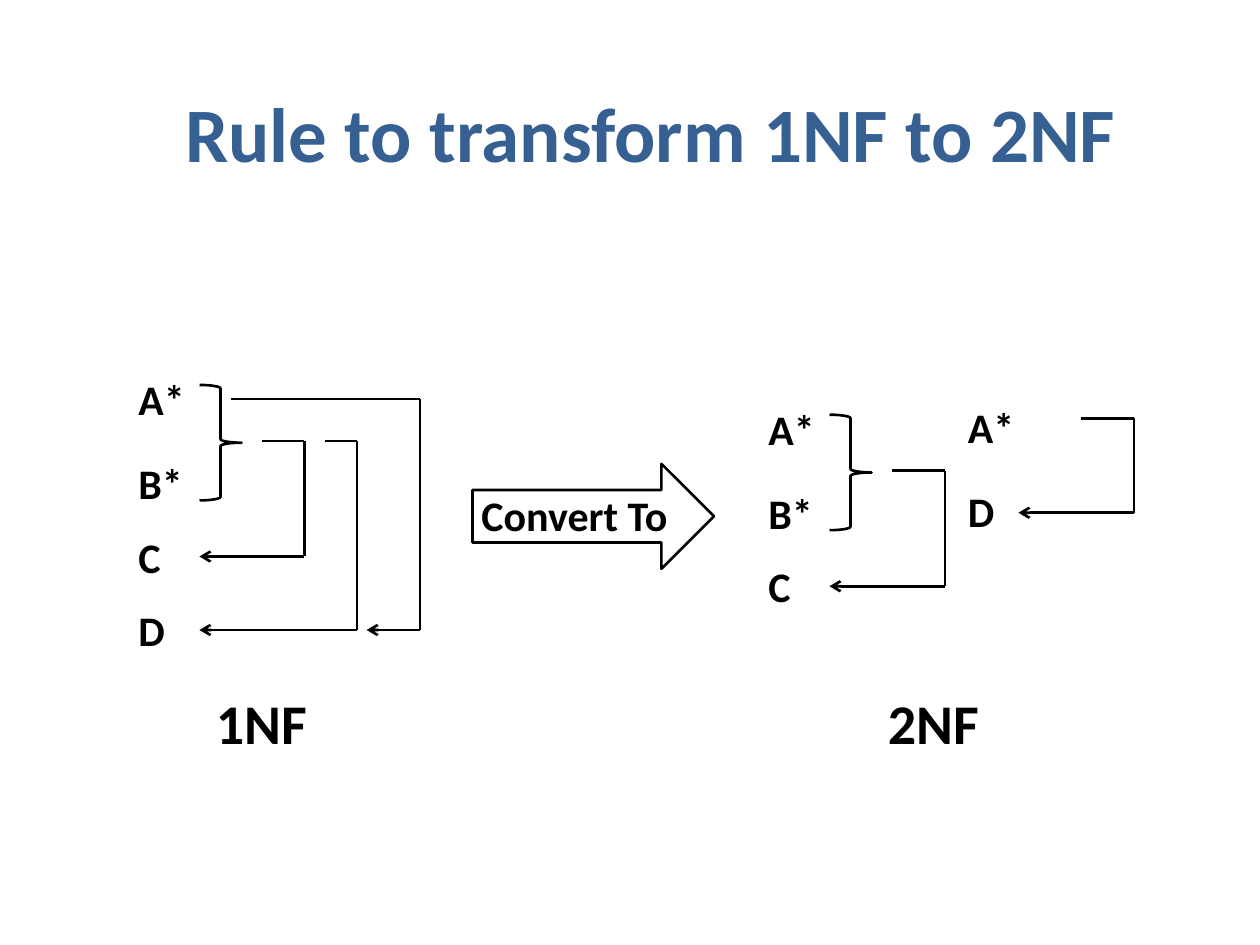
from lxml import etree
from pptx import Presentation
from pptx.dml.color import RGBColor
from pptx.enum import shapes, text
from pptx.oxml import ns
from pptx.util import Pt

TITLE = "Rule to transform 1NF to 2NF"
BLACK, BLUE = "000000", "376092"
ROW_OFFSETS = (0, 48, 90, 132)
BRACE = (42, 10, 24, 66)  # left, top, width, height within a relation

# Routes: start x, top, right, bottom, arrow tip x, from the relation's origin
RELATIONS = [
    {"origin": (72, 210), "attributes": ["A*", "B*", "C", "D"], "brace": True,
     "routes": [(78, 42, 102, 108, 42), (114, 42, 132, 150, 42),
                (60, 18, 168, 150, 137.5)]},
    {"origin": (432, 227), "attributes": ["A*", "B*", "C"], "brace": True,
     "routes": [(78, 42, 108, 108, 42)]},
    {"origin": (546, 226), "attributes": ["A*", "D"], "brace": False,
     "routes": [(72, 13, 102, 67, 36)]},
]
CAPTIONS = [("1NF ", 60), ("2NF ", 444)]


def color(value):
    return RGBColor.from_string(value)


def points(*values):
    return [Pt(value) for value in values]


def write(frame, content, size, align, value=BLACK):
    paragraph = frame.paragraphs[0]
    paragraph.alignment = align
    run = paragraph.add_run()
    run.text = content
    formats = {"name": "Calibri", "size": Pt(size), "bold": True}
    for name, setting in formats.items():
        setattr(run.font, name, setting)
    run.font.color.rgb = color(value)


def add_label(slide, content, box, size=24, align=text.PP_ALIGN.LEFT):
    frame = slide.shapes.add_textbox(*points(*box)).text_frame
    frame.word_wrap = True
    write(frame, content, size, align)


def style_line(shape):
    shape.line.color.rgb = color(BLACK)
    shape.line.width = Pt(1.5)


def add_outline(slide, kind, box):
    """Add an unfilled preset shape."""
    shape = slide.shapes.add_shape(kind, *points(*box))
    shape.shadow.inherit = False
    shape.fill.background()
    style_line(shape)


def add_line(slide, start, end, arrow):
    connector = slide.shapes.add_connector(
        shapes.MSO_CONNECTOR.STRAIGHT, *points(*start, *end))
    style_line(connector)
    if arrow:
        etree.SubElement(connector.line._get_or_add_ln(),
                         ns.qn("a:tailEnd"), type="arrow")
    etree.SubElement(connector._element.spPr, ns.qn("a:effectLst"))


def add_relation(slide, relation):
    left, top = relation["origin"]
    for content, offset in zip(relation["attributes"], ROW_OFFSETS):
        add_label(slide, content, (left, top + offset, 48, 37))
    if relation["brace"]:
        x, y, width, height = BRACE
        add_outline(slide, shapes.MSO_SHAPE.RIGHT_BRACE,
                    (left + x, top + y, width, height))
    for start, upper, right, lower, tip in relation["routes"]:
        corners = [(left + x, top + y) for x, y in (
            (start, upper), (right, upper), (right, lower), (tip, lower))]
        for index in range(3):
            add_line(slide, corners[index], corners[index + 1], index == 2)


def main():
    presentation = Presentation()
    presentation.slide_width, presentation.slide_height = points(720, 540)
    slide = presentation.slides.add_slide(presentation.slide_layouts[5])

    title = slide.shapes.title
    title.left, title.top, title.width, title.height = points(48, 30, 648, 90)
    title.text_frame.vertical_anchor = text.MSO_ANCHOR.MIDDLE
    write(title.text_frame, TITLE, 44, text.PP_ALIGN.CENTER, BLUE)

    for relation in RELATIONS:
        add_relation(slide, relation)

    add_outline(slide, shapes.MSO_SHAPE.RIGHT_ARROW, (270, 265, 138, 60))
    add_label(slide, "Convert To", (268, 276, 132, 37))
    for content, left in CAPTIONS:
        add_label(slide, content, (left, 390, 186, 48), 32, text.PP_ALIGN.CENTER)

    presentation.save("out.pptx")


if __name__ == "__main__":
    main()
